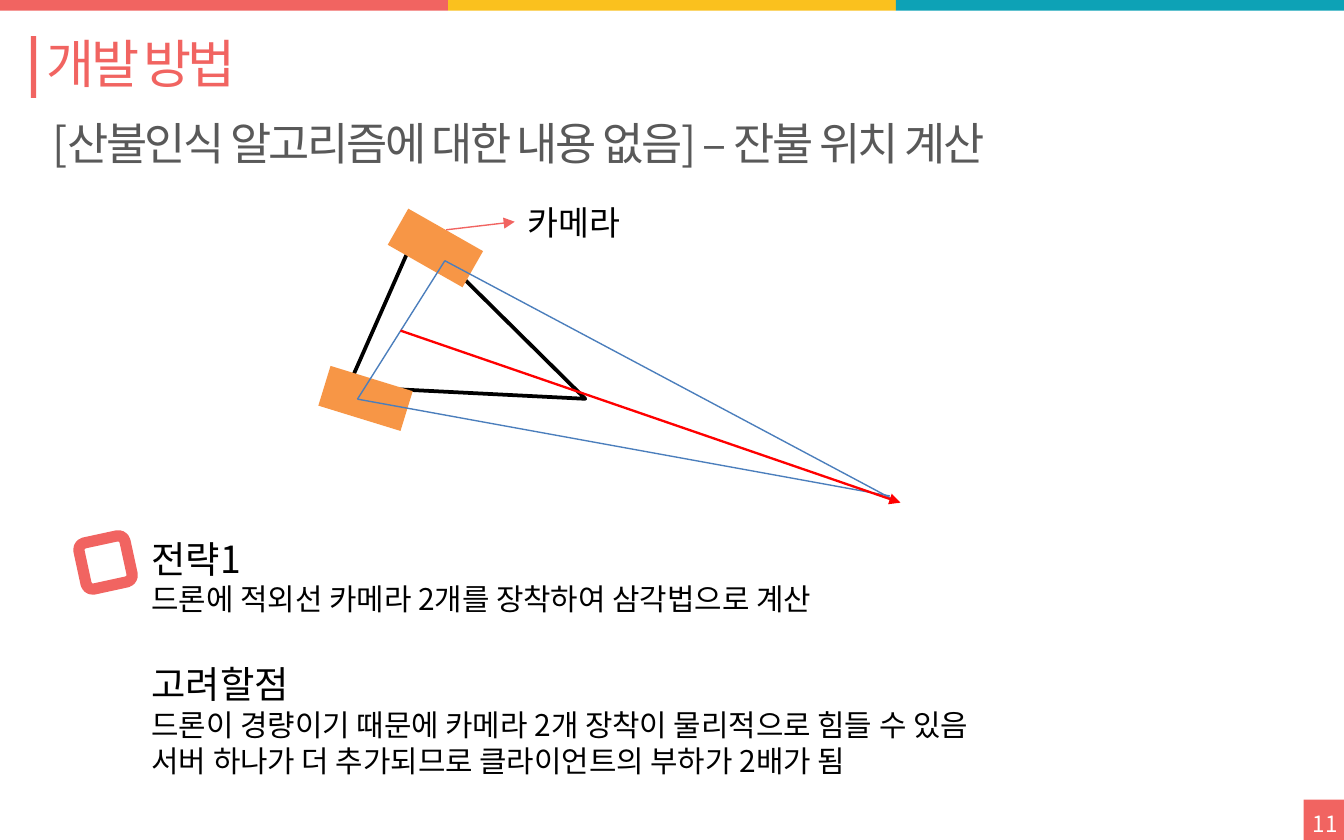
from lxml import etree
from pptx import Presentation
from pptx.dml.color import RGBColor
from pptx.enum.shapes import MSO_CONNECTOR, MSO_SHAPE as SHAPE
from pptx.enum.text import MSO_ANCHOR as ANCHOR, MSO_AUTO_SIZE as AUTO, PP_ALIGN as ALIGN
from pptx.oxml.ns import qn
from pptx.util import Inches, Pt

FONT = "Noto Sans CJK KR"
CORAL, YELLOW, TEAL = "F16461", "FAC11E", "0DA2B6"
ORANGE, BLUE, RED = "F79646", "4B7EBC", "FF0000"
BLACK, WHITE, GRAY = "000000", "FFFFFF", "595959"


def color(value):
    return RGBColor.from_string(value)


def add_block(page, kind, left, top, width, height, fill=None, line=None, weight=1, turn=0):
    block = page.shapes.add_shape(kind, *map(Inches, (left, top, width, height)))
    block.shadow.inherit = False
    block.rotation = turn
    if fill:
        block.fill.solid()
        block.fill.fore_color.rgb = color(fill)
    else:
        block.fill.background()
    if line:
        block.line.color.rgb = color(line)
        block.line.width = Pt(weight)
    else:
        block.line.fill.background()
    return block


def add_line(page, start, end, ink, weight=0.75, arrow=False):
    line = page.shapes.add_connector(MSO_CONNECTOR.STRAIGHT, *map(Inches, (*start, *end)))
    line.line.color.rgb = color(ink)
    line.line.width = Pt(weight)
    if arrow:
        etree.SubElement(line.line._get_or_add_ln(), qn("a:tailEnd"), type="triangle")
    etree.SubElement(line._element.spPr, qn("a:effectLst"))


def add_text(para, text, size, ink, spacing=0):
    span = para.add_run()
    span.text = text
    span.font.size = Pt(size)
    span.font.name = FONT
    span.font.color.rgb = color(ink)
    props = span.font._element
    etree.SubElement(props, qn("a:ea"), typeface=FONT)
    if spacing:
        props.set("spc", str(round(spacing * 100)))


def add_box(page, left, top, width, height, lines, ink, wrap=False, spacing=0,
            align=ALIGN.LEFT, anchor=ANCHOR.TOP):
    """Place a text box; lines holds (text, size, space before) for each paragraph."""
    box = page.shapes.add_textbox(*map(Inches, (left, top, width, height)))
    frame = box.text_frame
    frame.word_wrap = wrap
    frame.auto_size = AUTO.NONE
    frame.vertical_anchor = anchor
    for index, (text, size, before) in enumerate(lines):
        para = frame.paragraphs[0] if index == 0 else frame.add_paragraph()
        para.alignment = align
        if before:
            para.space_before = Pt(before)
        add_text(para, text, size, ink, spacing)


def add_frame(page, width, height):
    """Draw the top stripe and the page number in the corner."""
    for index, fill in enumerate((CORAL, YELLOW, TEAL)):
        add_block(page, SHAPE.RECTANGLE, index * width / 3, 0, width / 3, 0.08, fill)
    add_block(page, SHAPE.RECTANGLE, width - 0.3, height - 0.3, 0.3, 0.3, CORAL)
    add_box(page, width - 0.43, height - 0.29, 0.48, 0.33, [("11", 12, 0)], WHITE,
            wrap=True, align=ALIGN.RIGHT, anchor=ANCHOR.MIDDLE)


def add_heading(page, left, top):
    add_block(page, SHAPE.RECTANGLE, left - 0.01, top + 0.09, 0.04, 0.46, CORAL)
    add_box(page, left + 0.01, top, 1.63, 0.57, [("개발 방법", 28, 0)], CORAL, spacing=-2)
    add_box(page, left + 0.05, top + 0.63, 8.1, 0.5,
            [("[산불인식 알고리즘에 대한 내용 없음] – 잔불 위치 계산", 24, 0)],
            GRAY, wrap=True, spacing=-1.3)


def add_diagram(page, left, top):
    """Draw the drone with two cameras and their sight lines to the fire."""
    def at(x, y):
        return left + x, top + y

    add_block(page, SHAPE.ISOSCELES_TRIANGLE, *at(0.57, 0.36), 1.26, 1.65,
              line=BLACK, weight=2, turn=113.8)
    for x, y, turn in ((0, 1.36, 17.1), (0.52, 0.24, 29.6)):
        add_block(page, SHAPE.RECTANGLE, *at(x, y), 0.64, 0.31, ORANGE, turn=turn)

    upper, lower = at(0.91, 0.49), at(0.26, 1.52)
    for start, end in ((lower, at(4.22, 2.24)), (upper, at(4.29, 2.29)), (upper, lower)):
        add_line(page, start, end, BLUE)
    add_line(page, at(0.58, 1.01), at(4.3, 2.29), RED, 1.25, arrow=True)

    add_box(page, *at(1.43, 0), 0.9, 0.4, [("카메라", 18, 0)], BLACK)
    add_line(page, at(0.92, 0.26), at(1.43, 0.2), CORAL, arrow=True)


def add_strategy(page, left, top):
    lines = [
        ("전략1", 20, 0),
        ("드론에 적외선 카메라 2개를 장착하여 삼각법으로 계산", 16, 0),
        ("고려할점", 20, 24),
        ("드론이 경량이기 때문에 카메라 2개 장착이 물리적으로 힘들 수 있음", 16, 0),
        ("서버 하나가 더 추가되므로 클라이언트의 부하가 2배가 됨", 16, 0),
    ]
    add_box(page, left + 0.42, top, 6.5, 1.92, lines, BLACK)
    marker = add_block(page, SHAPE.ROUNDED_RECTANGLE, left, top + 0.07, 0.35, 0.35,
                       WHITE, CORAL, 6, turn=347.8)
    marker.adjustments[0] = 0.14


def main():
    deck = Presentation()
    width, height = 10, 6.25
    deck.slide_width, deck.slide_height = Inches(width), Inches(height)
    page = deck.slides.add_slide(deck.slide_layouts[6])
    add_frame(page, width, height)
    add_heading(page, 0.24, 0.18)
    add_diagram(page, 2.4, 1.45)
    add_strategy(page, 0.61, 3.94)
    deck.save("out.pptx")


if __name__ == "__main__":
    main()
